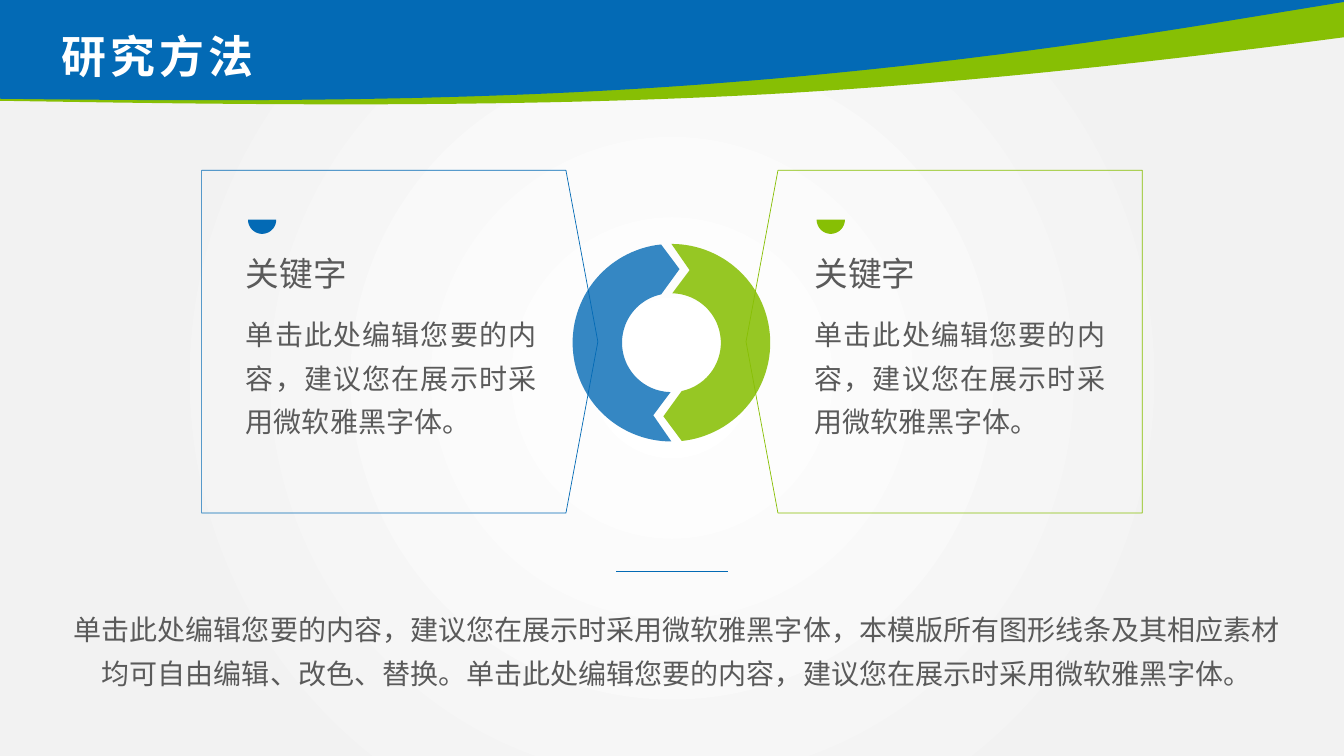
import math

import pptx
import pptx.dml.color
import pptx.enum.shapes
import pptx.enum.text
import pptx.oxml
import pptx.oxml.ns
import pptx.util
from pptx.util import Inches

RGBColor = pptx.dml.color.RGBColor
MSO_SHAPE = pptx.enum.shapes.MSO_SHAPE
PP_ALIGN = pptx.enum.text.PP_ALIGN
MSO_ANCHOR = pptx.enum.text.MSO_ANCHOR
qn = pptx.oxml.ns.qn

BLUE = RGBColor(0x03, 0x6A, 0xB5)
GREEN = RGBColor(0x87, 0xBF, 0x04)
GREY = RGBColor(0x5A, 0x5A, 0x5A)
PALE = RGBColor(0xF2, 0xF2, 0xF2)
WHITE = RGBColor(0xFF, 0xFF, 0xFF)
CJK_FONT = "Noto Sans CJK SC"
BODY_FONT = "Calibri"
WIDTH, HEIGHT = 13.33, 7.5

HINT = "单击此处编辑您要的内容，建议您在展示时采用微软雅黑字体"
SUMMARY = HINT + "，本模版所有图形线条及其相应素材均可自由编辑、改色、替换。" + HINT + "。"


def add_child(parent, tag, **attrs):
    child = parent.makeelement(qn(tag), attrs)
    parent.append(child)
    return child


def bezier(p0, p1, p2, p3, steps=40):
    """Points along a cubic curve, without its start."""
    points = []
    for i in range(1, steps + 1):
        t = i / steps
        weights = ((1 - t) ** 3, 3 * t * (1 - t) ** 2, 3 * t * t * (1 - t), t ** 3)
        points.append(tuple(sum(w * p[axis] for w, p in zip(weights, (p0, p1, p2, p3)))
                            for axis in (0, 1)))
    return points


def arc(cx, cy, radius, start, end, steps=60):
    """Points on a circle, angles in degrees clockwise from the top."""
    angles = [math.radians(start + (end - start) * i / steps) for i in range(steps + 1)]
    return [(cx + radius * math.sin(a), cy - radius * math.cos(a)) for a in angles]


def add_outline(s, points, color, opacity=100):
    emu = [(Inches(x), Inches(y)) for x, y in points]
    builder = s.shapes.build_freeform(*emu[0])
    builder.add_line_segments(emu[1:], close=True)
    sp = builder.convert_to_shape()
    sp.shadow.inherit = False
    sp.fill.solid()
    sp.fill.fore_color.rgb = color
    sp.line.fill.background()
    if opacity < 100:
        srgb = sp._element.spPr.find(qn("a:solidFill")).find(qn("a:srgbClr"))
        add_child(srgb, "a:alpha", val=str(opacity * 1000))


def add_text(s, text, x, y, w, h, size, color=GREY, font=BODY_FONT, bold=False,
             align=PP_ALIGN.LEFT, line_spacing=1.0, anchor=MSO_ANCHOR.TOP, tracking=0):
    tf = s.shapes.add_textbox(Inches(x), Inches(y), Inches(w), Inches(h)).text_frame
    tf.word_wrap = True
    tf.vertical_anchor = anchor
    p = tf.paragraphs[0]
    p.text = text
    p.alignment = align
    p.line_spacing = line_spacing
    p.font.size = pptx.util.Pt(size)
    p.font.bold = bold
    p.font.name = font
    p.font.color.rgb = color
    defaults = p._p.pPr.find(qn("a:defRPr"))
    add_child(defaults, "a:ea", typeface=CJK_FONT)
    if tracking:
        defaults.set("spc", str(tracking * 100))


def set_background(s):
    fill = s.background.fill
    fill.gradient()
    for stop, position, color in zip(fill.gradient_stops, (0, 0.73), (WHITE, PALE)):
        stop.position = position
        stop.color.rgb = color
    grad = s.background._cSld.find(".//" + qn("a:gradFill"))
    lin = grad.find(qn("a:lin"))
    circle = grad.makeelement(qn("a:path"), {"path": "circle"})
    add_child(circle, "a:fillToRect", l="50000", t="50000", r="50000", b="50000")
    grad.replace(lin, circle)


def add_header(s, w):
    green = [(0, 1)]
    green += bezier((0, 1), (2.44, 1.04), (4.88, 1.07), (7.32, 0.95))
    green += bezier((7.32, 0.95), (9.34, 0.85), (11.35, 0.63), (w, 0.37))
    green += [(w, 0)]
    green += bezier((w, 0), (11.35, 0.35), (9.34, 0.64), (7.32, 0.8))
    green += bezier((7.32, 0.8), (4.88, 0.99), (2.44, 1), (0, 0.97))
    add_outline(s, green, GREEN)

    blue = [(0, 0), (w, 0), (w, 0.02), (11.86, 0.26)]
    blue += bezier((11.86, 0.26), (10.35, 0.5), (8.83, 0.69), (7.32, 0.81))
    blue += bezier((7.32, 0.81), (4.88, 1.01), (2.44, 1.01), (0, 0.98))
    add_outline(s, blue, BLUE)
    add_text(s, "研究方法", 0.51, 0.29, 6.73, 0.59, 32, WHITE, CJK_FONT, bold=True,
             line_spacing=0.9, anchor=MSO_ANCHOR.MIDDLE, tracking=3)


def add_panel(s, x, y, w, h, color, text_offset, flipped=False):
    plate = s.shapes.add_shape(MSO_SHAPE.PENTAGON, Inches(x), Inches(y), Inches(w), Inches(h))
    plate.adjustments[0] = 0.093
    plate.shadow.inherit = False
    plate.fill.background()
    plate.line.color.rgb = color
    plate.line.width = pptx.util.Pt(0.5)
    if flipped:
        plate._element.spPr.find(qn("a:xfrm")).set("flipH", "1")

    text_x = x + text_offset
    add_outline(s, arc(text_x + 0.26, y + 0.49, 0.14, 90, 270, 30), color)
    add_text(s, "关键字", text_x, y + 0.77, 1.68, 0.5, 24)
    add_text(s, HINT + "。", text_x, y + 1.31, 3.08, 1.38, 20,
             align=PP_ALIGN.JUSTIFY, line_spacing=1.3)


def add_ring(s, cx, cy, outer, inner):
    """Two arrow-shaped halves, the second being the first turned half round."""
    half = arc(cx, cy, outer, 0, 174)
    half += [(cx - 0.08, cy + 0.73)]
    half += arc(cx, cy, inner, 168, 1)
    half += [(cx + 0.18, cy - 0.72)]
    add_outline(s, half, GREEN, 87)
    add_outline(s, [(2 * cx - x, 2 * cy - y) for x, y in half], BLUE, 80)


def add_summary(s, x, y, w, h):
    add_text(s, SUMMARY, x, y, w, h, 20, align=PP_ALIGN.CENTER, line_spacing=1.3)
    rule_y = Inches(y - 0.26)
    rule = s.shapes.add_connector(pptx.enum.shapes.MSO_CONNECTOR.STRAIGHT,
                                  Inches(6.11), rule_y, Inches(7.22), rule_y)
    rule.line.color.rgb = BLUE
    rule.line.width = pptx.util.Pt(1)
    add_child(rule._element.spPr, "a:effectLst")


def main():
    prs = pptx.Presentation()
    prs.slide_width, prs.slide_height = Inches(WIDTH), Inches(HEIGHT)
    s = prs.slides.add_slide(prs.slide_layouts[6])
    set_background(s)
    add_header(s, WIDTH)
    add_panel(s, 2, 1.69, 3.93, 3.4, BLUE, 0.34)
    add_panel(s, 7.4, 1.69, 3.93, 3.4, GREEN, 0.58, flipped=True)
    add_ring(s, 6.66, 3.4, 0.98, 0.49)
    add_summary(s, 0.51, 5.93, 12.41, 0.98)
    prs.save("out.pptx")


if __name__ == "__main__":
    main()
